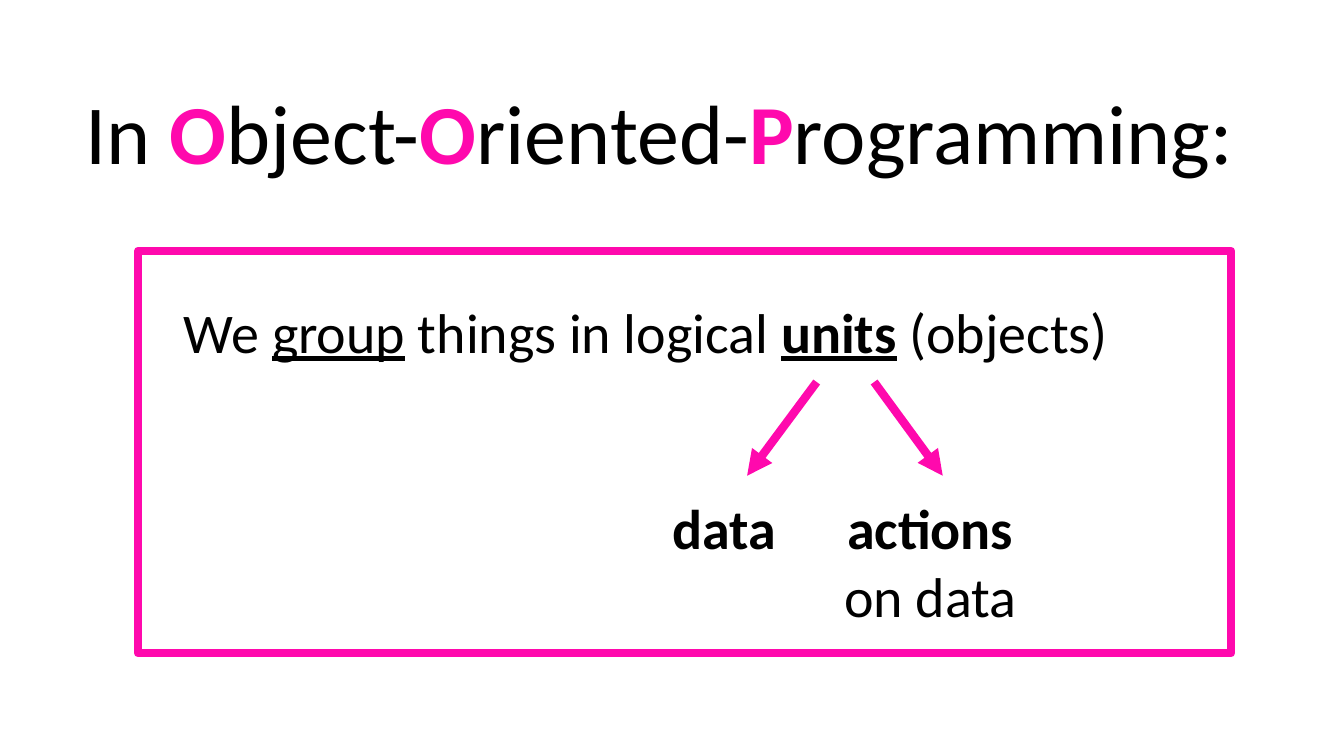
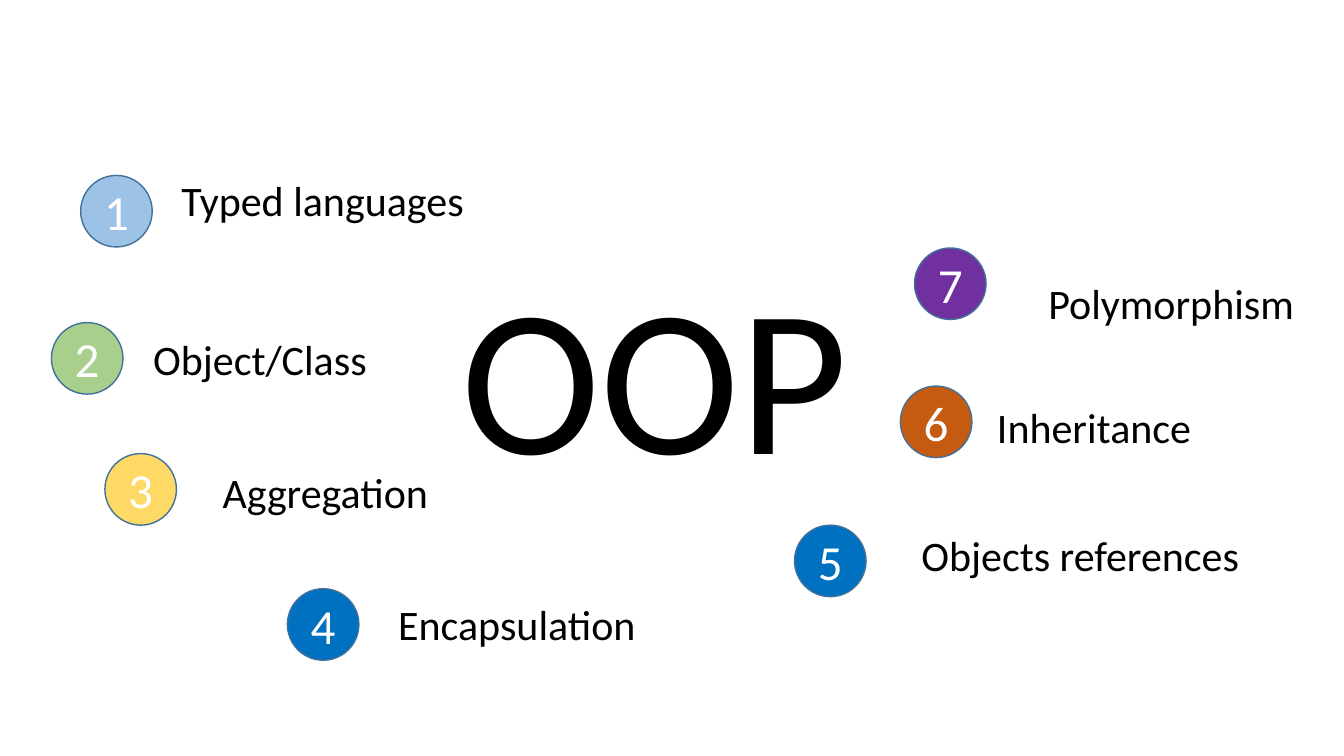
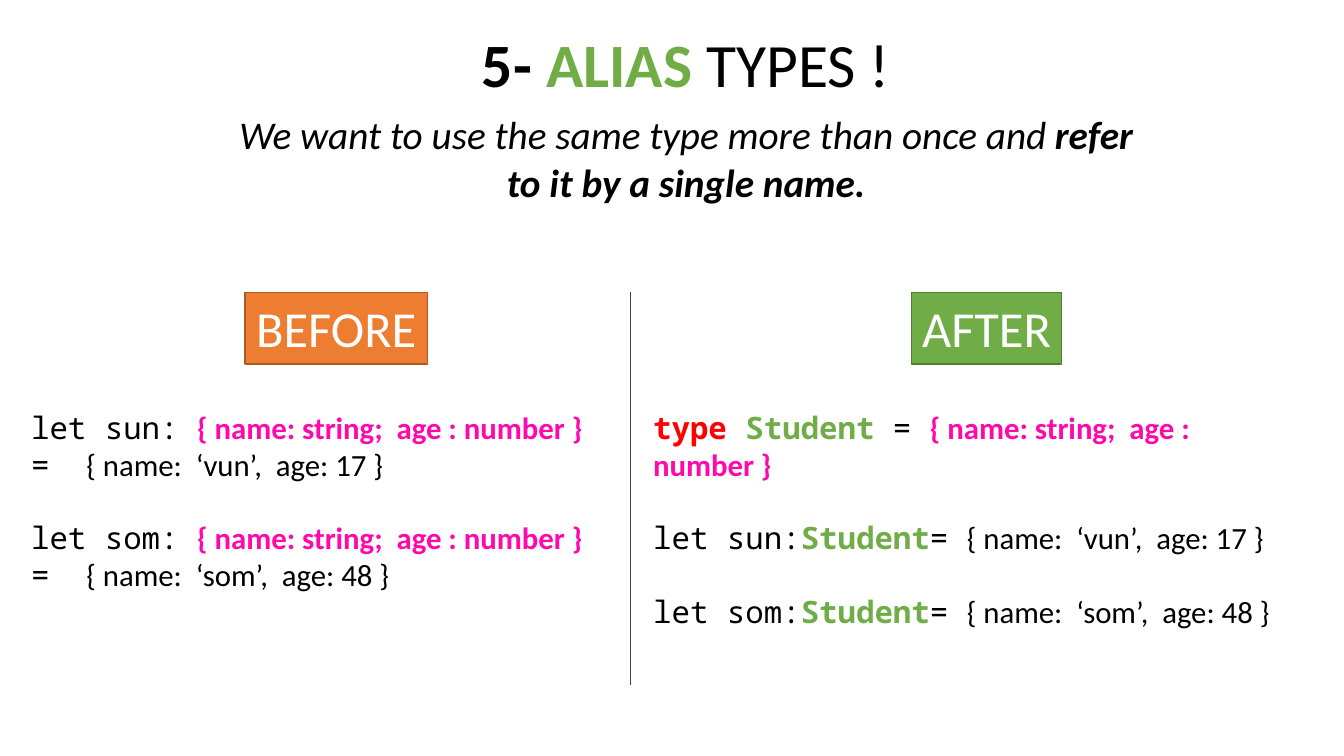
from lxml import etree
from pptx import Presentation
from pptx.dml.color import RGBColor
from pptx.enum.shapes import MSO_CONNECTOR, MSO_SHAPE
from pptx.enum.text import MSO_ANCHOR, MSO_AUTO_SIZE, PP_ALIGN
from pptx.oxml.ns import qn
from pptx.util import Inches, Pt

LEFT, CENTER = PP_ALIGN.LEFT, PP_ALIGN.CENTER
TOP, MIDDLE = MSO_ANCHOR.TOP, MSO_ANCHOR.MIDDLE
NO_AUTOFIT = MSO_AUTO_SIZE.NONE
STRAIGHT = MSO_CONNECTOR.STRAIGHT
RECTANGLE, OVAL = MSO_SHAPE.RECTANGLE, MSO_SHAPE.OVAL

COLORS = {
    "black": "000000",
    "white": "FFFFFF",
    "pink": "FF09AD",
    "green": "70AD47",
    "dark green": "517E33",
    "orange": "ED7D31",
    "dark orange": "AC5B23",
    "red": "FF0000",
    "gray": "3F3F3F",
    "circle line": "42719B",
    "light blue": "9CC2E5",
    "light green": "A8D08C",
    "yellow": "FFD966",
    "blue": "0070C0",
    "rust": "C55A11",
    "purple": "7030A0",
}
COLORS = {name: RGBColor.from_string(value) for name, value in COLORS.items()}
BODY_FONT, CODE_FONT = "Calibri", "Noto Sans Mono"


def write(shape, box, paragraphs, size, alignment=LEFT, anchor=TOP, wrap=True):
    shape.left, shape.top, shape.width, shape.height = [Inches(value) for value in box]
    frame = shape.text_frame
    frame.auto_size = NO_AUTOFIT
    frame.word_wrap = wrap
    frame.vertical_anchor = anchor
    frame.margin_left = frame.margin_right = Inches(0.1)
    frame.margin_top = frame.margin_bottom = Inches(0.05)
    for index, runs in enumerate(paragraphs):
        paragraph = frame.add_paragraph() if index else frame.paragraphs[0]
        paragraph.alignment = alignment
        for text, color, style in runs:
            run = paragraph.add_run()
            run.text = text
            run.font.name = CODE_FONT if "m" in style else BODY_FONT
            run.font.size = Pt(size)
            run.font.color.rgb = COLORS[color]
            run.font.bold = "b" in style
            run.font.italic = "i" in style
            run.font.underline = "u" in style
    return frame


def draw_line(slide, start, end, color, width, arrow=False):
    points = [Inches(value) for value in (*start, *end)]
    line = slide.shapes.add_connector(STRAIGHT, *points)
    line.line.color.rgb = COLORS[color]
    line.line.width = Pt(width)
    if arrow:
        etree.SubElement(line.line._get_or_add_ln(), qn("a:tailEnd"), type="triangle")
    etree.SubElement(line._element.spPr, qn("a:effectLst"))


presentation = Presentation()
presentation.slide_width = Inches(13.33)
presentation.slide_height = Inches(7.5)
title_only = presentation.slide_layouts[5]

titles = [
    ((0.7, 0.75, 11.68, 1.11), 60, CENTER, [
        ("In ", "black", ""), ("O", "pink", "b"), ("bject-", "black", ""),
        ("O", "pink", "b"), ("riented-", "black", ""),
        ("P", "pink", "b"), ("rogramming:", "black", ""),
    ]),
    ((4.48, 2.38, 4.08, 2.63), 150, LEFT, [("OOP", "black", "")]),
    ((4.66, 0.21, 4.29, 0.84), 44, CENTER, [
        ("5- ", "black", "b"), ("ALIAS ", "green", "b"), ("TYPES !", "black", ""),
    ]),
]
slides = []
for box, size, alignment, runs in titles:
    slide = presentation.slides.add_slide(title_only)
    write(slide.shapes.title, box, [runs], size, alignment)
    slides.append(slide)
definition_slide, topics_slide, alias_slide = slides

border = definition_slide.shapes.add_shape(
    RECTANGLE, Inches(1.37), Inches(2.49), Inches(10.84), Inches(3.99))
border.shadow.inherit = False
border.fill.solid()
border.fill.fore_color.rgb = COLORS["white"]
border.line.color.rgb = COLORS["pink"]
border.line.width = Pt(6)

statements = [
    ((1.49, 2.9, 9.83, 0.77), [[
        ("We ", "black", ""), ("group", "black", "u"),
        (" things in logical ", "black", ""), ("units", "black", "bu"),
        (" (objects)", "black", ""),
    ]]),
    ((6.27, 4.85, 1.83, 0.77), [[("data", "black", "b")]]),
    ((7.75, 4.85, 2.95, 1.45), [[("actions", "black", "b")], [("on data", "black", "")]]),
]
for box, paragraphs in statements:
    text_box = definition_slide.shapes.add_textbox(0, 0, 0, 0)
    write(text_box, box, paragraphs, 40, CENTER)
for start_x, end_x in ((8.1, 7.41), (8.67, 9.35)):
    draw_line(definition_slide, (start_x, 3.79), (end_x, 4.72), "pink", 6, arrow=True)

topics = [
    ("Typed languages", "light blue", (0.8, 1.74), (1.7, 1.68)),
    ("Object/Class", "light green", (0.51, 3.2), (1.42, 3.26)),
    ("Aggregation", "yellow", (1.04, 4.5), (2.11, 4.58)),
    ("Encapsulation", "blue", (2.85, 5.84), (3.85, 5.89)),
    ("Objects references", "blue", (7.88, 5.21), (9.04, 5.2)),
    ("Inheritance", "rust", (8.93, 3.83), (9.79, 3.93)),
    ("Polymorphism", "purple", (9.07, 2.46), (10.3, 2.7)),
]
for number, (topic, color, circle_at, label_at) in enumerate(topics, 1):
    label = topics_slide.shapes.add_textbox(0, 0, 0, 0)
    write(label, (*label_at, 3.5, 0.61), [[(topic, "black", "")]], 30, wrap=False)
    circle = topics_slide.shapes.add_shape(OVAL, 0, 0, 0, 0)
    circle.shadow.inherit = False
    circle.fill.solid()
    circle.fill.fore_color.rgb = COLORS[color]
    circle.line.color.rgb = COLORS["circle line"]
    circle.line.width = Pt(1)
    write(circle, (*circle_at, 0.71, 0.71), [[(str(number), "white", "")]], 35, CENTER, MIDDLE)

subtitle = alias_slide.shapes.add_textbox(0, 0, 0, 0)
write(subtitle, (2.14, 1.05, 9.33, 1.04), [[
    ("We want to use the same type more than once and ", "black", "i"),
    ("refer to it by a single name.", "black", "bi"),
]], 28, CENTER)
draw_line(alias_slide, (6.25, 2.9), (6.25, 6.8), "gray", 0.75)

tags = [
    ("BEFORE", 2.43, 1.81, "orange", "dark orange"),
    ("AFTER", 9.04, 1.49, "green", "dark green"),
]
for text, left, width, fill, line in tags:
    tag = alias_slide.shapes.add_shape(RECTANGLE, 0, 0, 0, 0)
    tag.shadow.inherit = False
    tag.fill.solid()
    tag.fill.fore_color.rgb = COLORS[fill]
    tag.line.color.rgb = COLORS[line]
    tag.line.width = Pt(1)
    write(tag, (left, 2.9, width, 0.71), [[(text, "white", "")]], 36, CENTER, wrap=False)

type_shape = ("{ name: string;  age : number }", "pink", "b")
students = [
    ("sun", "{ name:  ‘vun’,  age: 17 }"),
    ("som", "{ name:  ‘som’,  age: 48 }"),
]
before = []
after = [[("type ", "red", "bm"), ("Student", "green", "bm"), (" = ", "black", "m"), type_shape]]
for variable, value in students:
    before.append([(f"let {variable}: ", "black", "m"), type_shape])
    before.append([("=  ", "black", "m"), (value, "black", "")])
    after.append([(f"let {variable}:", "black", "m"), ("Student", "green", "bm"),
                  ("= ", "black", "m"), (value, "black", "")])

code_blocks = [
    ((0.21, 4, 5.89, 2.32), before, (2,)),
    ((6.38, 4, 6.74, 2.32), after, (1, 2)),
]
for box, paragraphs, spaced in code_blocks:
    code_box = alias_slide.shapes.add_textbox(0, 0, 0, 0)
    frame = write(code_box, box, paragraphs, 22)
    for index, paragraph in enumerate(frame.paragraphs):
        paragraph.line_spacing = Pt(26.5)
        paragraph.space_before = Pt(26 if index in spaced else 0)

presentation.save("out.pptx")
